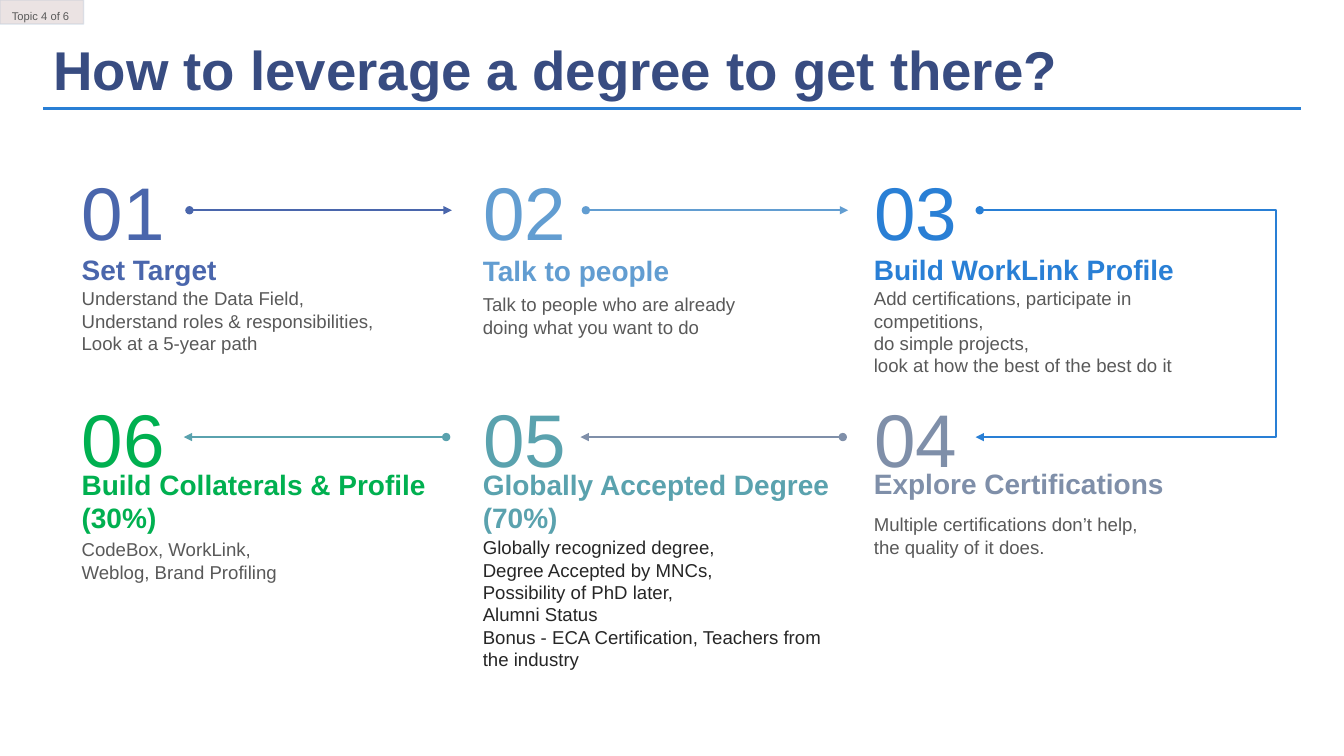
from lxml.etree import SubElement as Sub
from pptx import Presentation
from pptx.dml.color import RGBColor
from pptx.enum.shapes import MSO_CONNECTOR as Link, MSO_SHAPE as Shape
from pptx.enum.text import MSO_ANCHOR as Anchor, PP_ALIGN as Align
from pptx.oxml.ns import qn
from pptx.util import Pt

COLORS = {
    "title": "384C81", "rule": "297FD5", "tag": "7A4646", "edge": "1F5FA0",
    "gray": "595959", "dark": "262626", "indigo": "4A66AC", "sky": "629DD1",
    "blue": "297FD5", "green": "00B050", "slate": "7F8FA9", "teal": "5AA2AE",
}
COLS = (58.3, 344.9, 624.2)
ROWS = (118.8, 280.8)
MID = 31.4     # from the top of a step to its arrow
REACH = 187.4  # length of an arrow

# number, color, column, row, heading, its top, body, its top, width,
# body color, arrow start, arrow direction
STEPS = [
    ("01", "indigo", 0, 0, "Set Target", 61.2,
     ["Understand the Data Field,", "Understand roles & responsibilities,",
      "Look at a 5-year path"], 86.4, 244, "gray", 77, 1),
    ("02", "sky", 1, 0, "Talk to people", 62,
     ["Talk to people who are already doing what you want to do"],
     90.7, 214, "gray", 73.6, 1),
    ("03", "blue", 2, 0, "Build WorkLink Profile", 61.2,
     ["Add certifications, participate in competitions,\ndo simple projects,\n"
      "look at how the best of the best do it"], 86.4, 259, "gray", 75.6, 1),
    ("06", "green", 0, 1, "Build Collaterals & Profile\n(30%)", 52.6,
     ["CodeBox, WorkLink,", "Weblog, Brand Profiling"],
     103.7, 257, "gray", None, 0),
    ("04", "slate", 2, 1, "Explore Certifications", 52.6,
     ["Multiple certifications don’t help,\nthe quality of it does."],
     85.7, 243, "gray", -22.2, -1),
    ("05", "teal", 1, 1, "Globally Accepted Degree\n(70%)", 52.6,
     ["Globally recognized degree,\nDegree Accepted by MNCs,",
      "Possibility of PhD later,", "Alumni Status",
      "Bonus - ECA Certification, Teachers from the industry"],
     102.2, 261, "dark", -26.2, -1),
]


def rgb(name):
    return RGBColor.from_string(COLORS[name])


def fade(fill, percent):
    """Set the opacity of a solid fill given as its a:solidFill parent."""
    color = fill.find(qn("a:solidFill"))[0]
    Sub(color, qn("a:alpha"), val=str(percent * 1000))


def write(slide, box, paras, size, color, bold=False, wrap=True, inset=None,
          align=Align.LEFT, anchor=Anchor.TOP, spacing=None):
    """Add a text box; a newline within a paragraph is a line break."""
    frame = slide.shapes.add_textbox(*map(Pt, box)).text_frame
    frame.word_wrap = wrap
    frame.vertical_anchor = anchor
    if inset is not None:
        frame.margin_left = frame.margin_right = Pt(inset)
        frame.margin_top = frame.margin_bottom = Pt(inset)
    for i, text in enumerate(paras):
        para = frame.add_paragraph() if i else frame.paragraphs[0]
        para.alignment = align
        if spacing:
            para.line_spacing = spacing
        for j, part in enumerate(text.split("\n")):
            if j:
                para.add_line_break()
            run = para.add_run()
            run.text = part
            font = run.font
            font.name, font.size, font.bold = "Arial", Pt(size), bold
            font.color.rgb = rgb(color)


def draw(slide, start, end, color, width=1.5, head=None, tail=None,
         kind=Link.STRAIGHT):
    line = slide.shapes.add_connector(kind, *map(Pt, (*start, *end)))
    line.line.color.rgb = rgb(color)
    line.line.width = Pt(width)
    props = line.line._get_or_add_ln()
    for tag, tip in (("a:headEnd", head), ("a:tailEnd", tail)):
        if tip:
            Sub(props, qn(tag), type=tip)
    Sub(line._element.spPr, qn("a:effectLst"))
    return line


def header(slide, box):
    left, top, width, height = box
    base = top + height
    draw(slide, (left + width, base), (left, base), "rule", 2.25)
    write(slide, (left, top, 743, height),
          ["How to leverage a degree to get there?"], 39, "title", bold=True)


def badge(slide, box):
    """Topic counter in the corner."""
    left, top, width, height = box
    tag = slide.shapes.add_shape(Shape.RECTANGLE, *map(Pt, box))
    tag.shadow.inherit = False
    tag.fill.solid()
    tag.fill.fore_color.rgb = rgb("tag")
    tag.line.color.rgb = rgb("edge")
    tag.line.width = Pt(1)
    fade(tag._element.spPr, 15)
    fade(tag.line._get_or_add_ln(), 10)
    write(slide, (left + 1.4, top - 1.4, width - 1.4, height + 2.8),
          ["Topic 4 of 6"], 8, "gray", spacing=1.5)


def step(slide, left, top, number, color, title, drop, body, fall, width,
         ink, shift, way):
    """Number, heading, body and outgoing arrow of one step."""
    write(slide, (left, top, 59.8, 64.8), [number], 53.3, color,
          wrap=False, inset=0, align=Align.CENTER)
    tall = 24.2 * (title.count("\n") + 1)
    write(slide, (left, top + drop, width, tall), [title], 20, color,
          bold=True, wrap=False, inset=0, anchor=Anchor.MIDDLE)
    write(slide, (left, top + fall, width, 16.1 * len(body)), body,
          13.3, ink, inset=0)
    if way:
        start, y = left + shift, top + MID
        tip = None if number == "03" else "triangle"
        draw(slide, (start, y), (start + way * REACH, y), color,
             head="oval", tail=tip)


def turn(slide, start, end):
    """Bent arrow from the upper row down to the lower one."""
    bend = draw(slide, start, end, "blue", tail="triangle", kind=Link.ELBOW)
    geom = bend._element.spPr.find(qn("a:prstGeom"))
    guides = geom.find(qn("a:avLst"))
    if guides is None:
        guides = Sub(geom, qn("a:avLst"))
    Sub(guides, qn("a:gd"), name="adj1", fmla="val -12900")


def main():
    deck = Presentation()
    deck.slide_width, deck.slide_height = Pt(960), Pt(540)
    slide = deck.slides.add_slide(deck.slide_layouts[6])
    header(slide, (31, 22.3, 898, 55.5))
    badge(slide, (0, 0, 59.8, 17.3))
    for number, color, col, row, *rest in STEPS:
        step(slide, COLS[col], ROWS[row], number, color, *rest)
    turn(slide, (COLS[2] + 75.6 + REACH, ROWS[0] + MID),
         (COLS[2] + 72.7, ROWS[1] + MID))
    deck.save("out.pptx")


if __name__ == "__main__":
    main()
